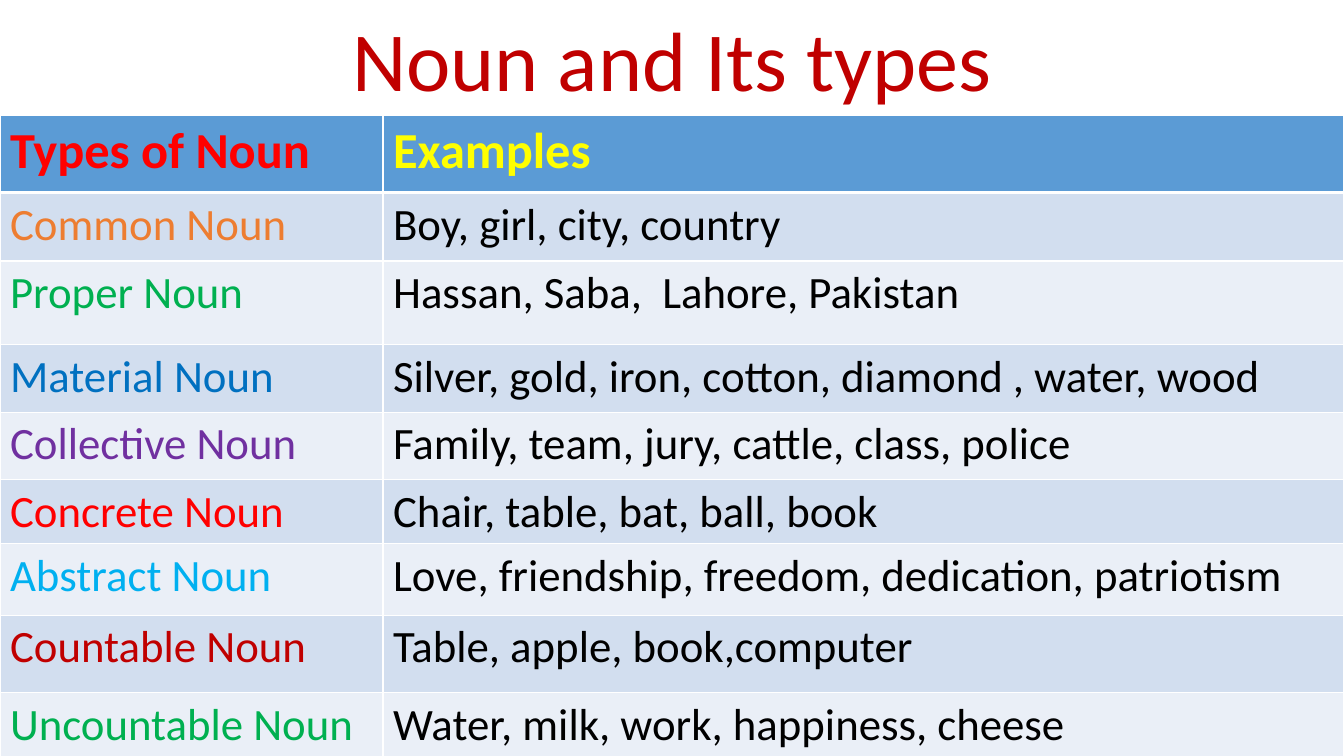
from lxml import etree
from pptx import Presentation
from pptx import util as u
from pptx.dml.color import RGBColor
from pptx.enum import text
from pptx.oxml.ns import qn

WIDTH, HEIGHT = 13.33, 7.5
TITLE_SHARE = 0.152  # share of the slide's height above the table
TYPE_SHARE = 0.285  # share of the slide's width for the first column
ROW_HEIGHTS = [0.77, 0.68, 0.83, 0.67, 0.67, 0.6, 0.71, 0.77, 0.77]
HEADER_FILL, BAND_FILLS = "5B9BD5", ("D2DEEF", "EAEFF7")

# Each row: noun type, its colour, examples
HEADER = ("Types of Noun", "FF0000", "Examples")
NOUNS = [
    ("Common Noun", "ED7D31", "Boy, girl, city, country"),
    ("Proper Noun", "00B050", "Hassan, Saba,  Lahore, Pakistan"),
    ("Material Noun", "0070C0", "Silver, gold, iron, cotton, diamond , water, wood"),
    ("Collective Noun", "7030A0", "Family, team, jury, cattle, class, police"),
    ("Concrete Noun", "FF0000", "Chair, table, bat, ball, book"),
    ("Abstract Noun", "00B0F0", "Love, friendship, freedom, dedication, patriotism"),
    ("Countable Noun", "C00000", "Table, apple, book,computer"),
    ("Uncountable Noun", "00B050", "Water, milk, work, happiness, cheese"),
]


def colour(value):
    return RGBColor.from_string(value)


class SlideBuilder:
    font = "Calibri"
    border = "FFFFFF"

    def __init__(self, presentation):
        self.width = presentation.slide_width
        self.height = presentation.slide_height
        self.slide = presentation.slides.add_slide(presentation.slide_layouts[6])

    def add_words(self, paragraph, words, size, hue, bold=False):
        run = paragraph.add_run()
        run.text = words
        style = {"name": self.font, "size": u.Pt(size), "bold": bold}
        for name, value in style.items():
            setattr(run.font, name, value)
        run.font.color.rgb = colour(hue)

    def title(self, words, share, size, hue):
        box = self.slide.shapes.add_textbox(0, 0, self.width, int(self.height * share))
        frame = box.text_frame
        frame.word_wrap = True
        frame.vertical_anchor = text.MSO_ANCHOR.BOTTOM
        paragraph = frame.paragraphs[0]
        layout = {"alignment": text.PP_ALIGN.CENTER, "line_spacing": 0.9}
        for name, value in layout.items():
            setattr(paragraph, name, value)
        self.add_words(paragraph, words, size, hue)

    def table(self, top_share, column_shares, row_heights):
        frame = self.slide.shapes.add_table(
            len(row_heights), len(column_shares), 0, int(self.height * top_share),
            self.width, u.Inches(sum(row_heights)))
        for column, share in zip(frame.table.columns, column_shares):
            column.width = int(self.width * share)
        for row, height in zip(frame.table.rows, row_heights):
            row.height = u.Inches(height)
        return frame.table

    def cell(self, cell, words, size, hue, fill, bold=False, top=1, bottom=1):
        self.add_words(cell.text_frame.paragraphs[0], words, size, hue, bold)
        # Borders come before the fill in the cell's properties
        properties = cell._tc.get_or_add_tcPr()
        for side, points in {"L": 1, "R": 1, "T": top, "B": bottom}.items():
            line = etree.SubElement(properties, qn(f"a:ln{side}"), w=str(u.Pt(points)))
            solid = etree.SubElement(line, qn("a:solidFill"))
            etree.SubElement(solid, qn("a:srgbClr"), val=self.border)
        cell.fill.solid()
        cell.fill.fore_color.rgb = colour(fill)


def main():
    presentation = Presentation()
    presentation.slide_width = u.Inches(WIDTH)
    presentation.slide_height = u.Inches(HEIGHT)
    builder = SlideBuilder(presentation)

    # Title
    builder.title("Noun and Its types", TITLE_SHARE, 60, "C00000")

    # Table of noun types
    table = builder.table(TITLE_SHARE, (TYPE_SHARE, 1 - TYPE_SHARE), ROW_HEIGHTS)
    for index, (noun, hue, examples) in enumerate([HEADER] + NOUNS):
        is_header = index == 0
        look = {
            "size": 36 if is_header else 32,
            "fill": HEADER_FILL if is_header else BAND_FILLS[(index - 1) % 2],
            "bold": is_header,
            "top": 3 if index == 1 else 1,
            "bottom": 3 if is_header else 1,
        }
        builder.cell(table.cell(index, 0), noun, hue=hue, **look)
        builder.cell(table.cell(index, 1), examples,
                     hue="FFFF00" if is_header else "000000", **look)

    presentation.save("out.pptx")


if __name__ == "__main__":
    main()
